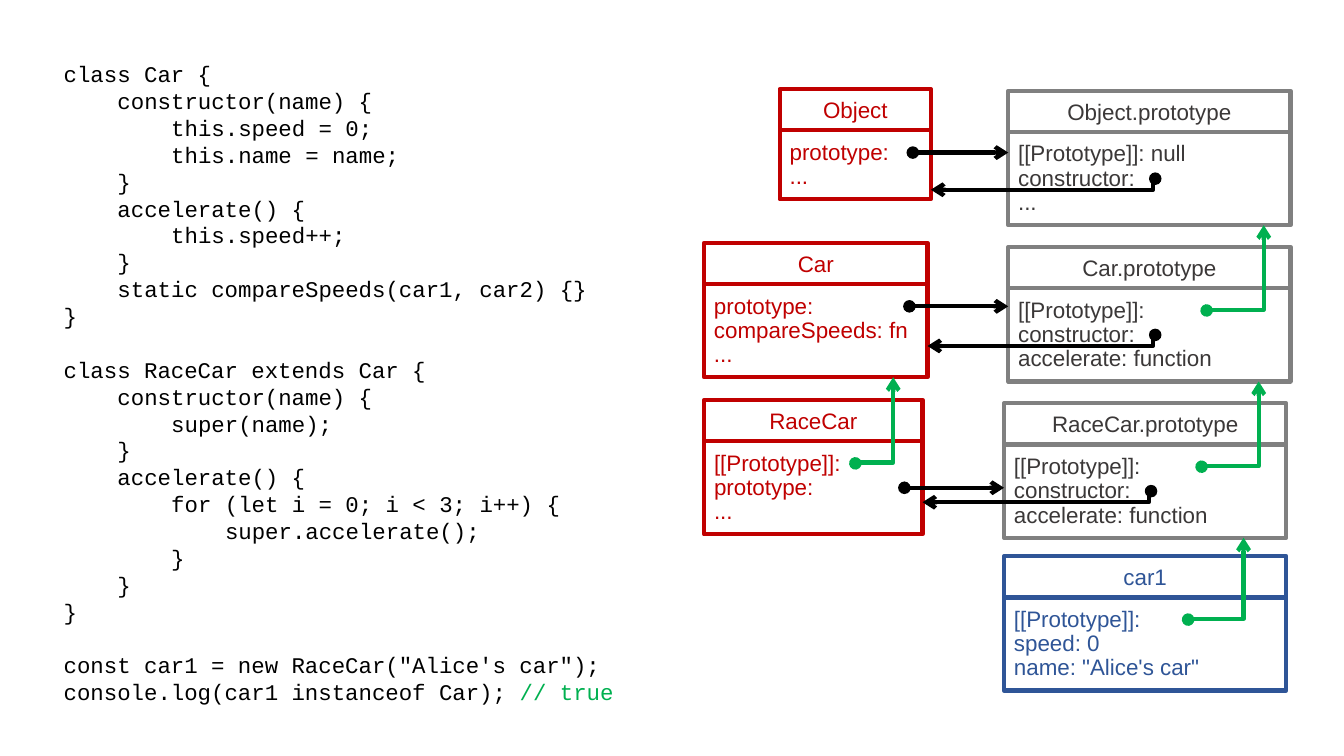
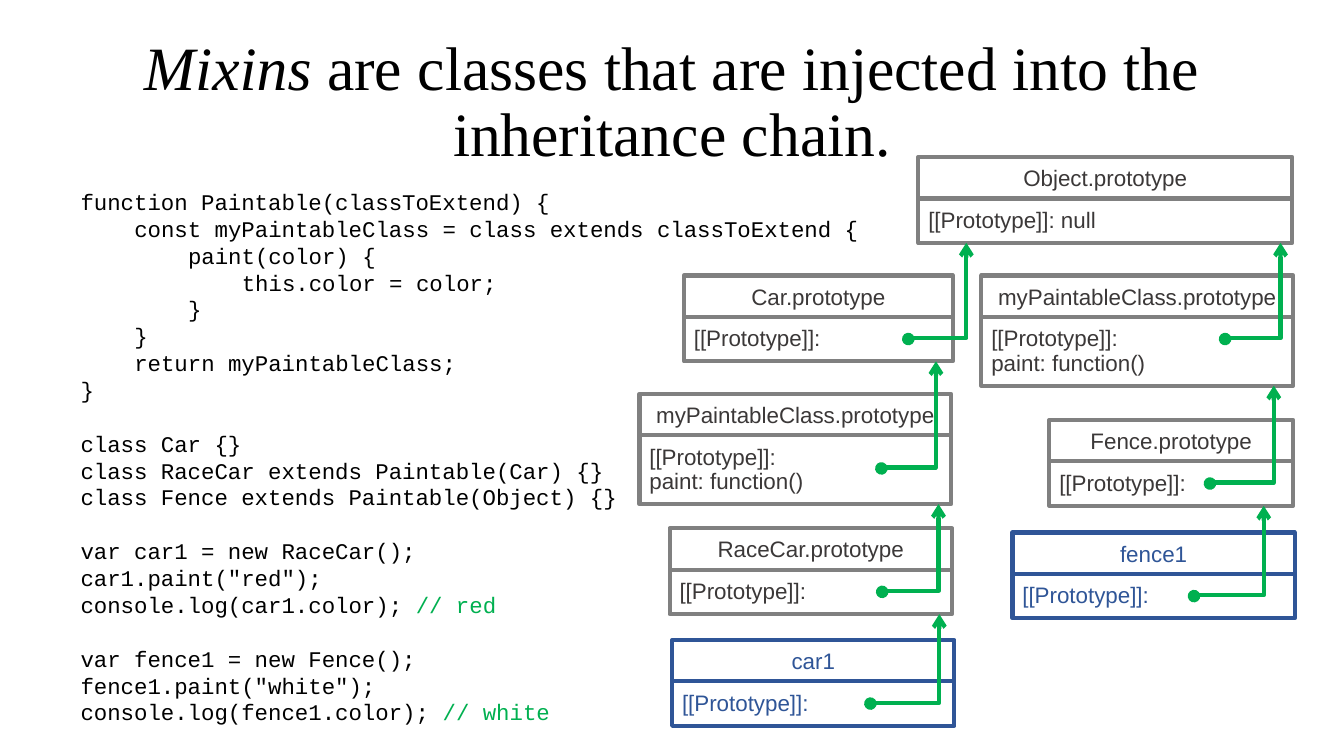
from lxml import etree
from pptx import Presentation
from pptx.dml.color import RGBColor
from pptx.enum.shapes import MSO_CONNECTOR, MSO_SHAPE
from pptx.enum.text import MSO_ANCHOR, MSO_AUTO_SIZE, PP_ALIGN
from pptx.oxml.ns import qn
from pptx.util import Inches, Pt

STRAIGHT, ELBOW = MSO_CONNECTOR.STRAIGHT, MSO_CONNECTOR.ELBOW
RECTANGLE = MSO_SHAPE.RECTANGLE
MIDDLE, TOP = MSO_ANCHOR.MIDDLE, MSO_ANCHOR.TOP
CENTER, LEFT = PP_ALIGN.CENTER, PP_ALIGN.LEFT
NO_FIT, GROW = MSO_AUTO_SIZE.NONE, MSO_AUTO_SIZE.SHAPE_TO_FIT_TEXT

BLACK = RGBColor(0x00, 0x00, 0x00)
GRAY = RGBColor(0x80, 0x80, 0x80)
CHARCOAL = RGBColor(0x3B, 0x38, 0x38)
RED = RGBColor(0xC0, 0x00, 0x00)
BLUE = RGBColor(0x2F, 0x55, 0x97)
GREEN = RGBColor(0x00, 0xB0, 0x50)

# Card styles: (outline, text)
PROTOTYPE = (GRAY, CHARCOAL)
CONSTRUCTOR = (RED, RED)
INSTANCE = (BLUE, BLUE)

CODE_FONT, CARD_FONT, TITLE_FONT = "Courier New", "Arial", "Times New Roman"
TEXT_SIZE, TITLE_SIZE = 16, 44
TAB = 4
TAB_WIDTH = Pt(TAB * TEXT_SIZE * 0.6)
CODE_LINE = Pt(19.2)
STROKE = Pt(3)

# The slide is a grid of 160 columns by 90 rows of square cells.
SLIDE_WIDTH, SLIDE_HEIGHT = Inches(13.33), Inches(7.5)
CELL = SLIDE_HEIGHT / 90

HEADER_HEIGHT = Inches(0.41)
HEADER_INSET = Inches(0.07)
BODY_INSET = Inches(0.1)
BODY_LINE = Pt(17.4)
REFERENCE_INSET = Inches(0.18)
CONSTRUCTOR_DIP = Inches(0.11)

CAR_CODE = """\
class Car {
    constructor(name) {
        this.speed = 0;
        this.name = name;
    }
    accelerate() {
        this.speed++;
    }
    static compareSpeeds(car1, car2) {}
}

class RaceCar extends Car {
    constructor(name) {
        super(name);
    }
    accelerate() {
        for (let i = 0; i < 3; i++) {
            super.accelerate();
        }
    }
}

const car1 = new RaceCar("Alice's car");
console.log(car1 instanceof Car); // true"""

MIXIN_CODE = """\
function Paintable(classToExtend) {
    const myPaintableClass = class extends classToExtend {
        paint(color) {
            this.color = color;
        }
    }
    return myPaintableClass;
}

class Car {}
class RaceCar extends Paintable(Car) {}
class Fence extends Paintable(Object) {}

var car1 = new RaceCar();
car1.paint("red");
console.log(car1.color); // red

var fence1 = new Fence();
fence1.paint("white");
console.log(fence1.color); // white"""


def cells(*counts):
    return [round(count * CELL) for count in counts]


def add_text(paragraph, text, font=CARD_FONT, size=TEXT_SIZE, color=BLACK, italic=False):
    run = paragraph.add_run()
    run.text = text
    run.font.name = font
    run.font.size = Pt(size)
    run.font.color.rgb = color
    run.font.italic = italic


def next_paragraph(frame):
    """Return the still empty first paragraph, or a new one."""
    first = frame.paragraphs[0]
    return frame.add_paragraph() if first.runs else first


def add_title(slide, emphasis, rest):
    title = slide.shapes.title
    title.left, title.top, title.width, title.height = cells(11, 3.6, 138, 17.4)
    frame = title.text_frame
    frame.auto_size = NO_FIT
    frame.vertical_anchor = MIDDLE
    paragraph = frame.paragraphs[0]
    paragraph.alignment = CENTER
    paragraph.line_spacing = 0.9
    add_text(paragraph, emphasis, font=TITLE_FONT, size=TITLE_SIZE, italic=True)
    add_text(paragraph, rest, font=TITLE_FONT, size=TITLE_SIZE)


def add_code(slide, code, *area):
    """Write code with indents by level, gaps between blocks and green comments."""
    frame = slide.shapes.add_textbox(*cells(*area)).text_frame
    frame.word_wrap = True
    gap = 0
    for line in code.splitlines():
        statement = line.lstrip()
        if not statement:
            gap = CODE_LINE
            continue
        paragraph = next_paragraph(frame)
        paragraph.space_before = gap
        gap = 0
        level = (len(line) - len(statement)) // TAB
        paragraph._p.get_or_add_pPr().set("marL", str(level * TAB_WIDTH))
        command, slashes, remark = statement.partition("//")
        add_text(paragraph, command, font=CODE_FONT)
        if slashes:
            add_text(paragraph, slashes + remark, font=CODE_FONT, color=GREEN)


def add_panel(card, bounds, lines, style, inset, anchor, alignment, spacing=None):
    panel = card.shapes.add_shape(RECTANGLE, *bounds)
    outline, ink = style
    panel.shadow.inherit = False
    panel.fill.background()
    panel.line.color.rgb = outline
    panel.line.width = STROKE
    frame = panel.text_frame
    frame.word_wrap = True
    frame.auto_size = GROW
    frame.vertical_anchor = anchor
    frame.margin_left = frame.margin_right = BODY_INSET
    frame.margin_top = frame.margin_bottom = inset
    for line in lines:
        paragraph = next_paragraph(frame)
        paragraph.alignment = alignment
        paragraph.line_spacing = spacing
        add_text(paragraph, line, color=ink)


def add_card(slide, name, members, style, left, top, width):
    """Group a name panel with the panel of members below it."""
    card = slide.shapes.add_group_shape()
    left, top, width = cells(left, top, width)
    body_height = 2 * BODY_INSET + len(members) * BODY_LINE
    add_panel(card, (left, top, width, HEADER_HEIGHT), [name], style,
              HEADER_INSET, MIDDLE, CENTER)
    add_panel(card, (left, top + HEADER_HEIGHT, width, body_height), members, style,
              BODY_INSET, TOP, LEFT, BODY_LINE)
    return card


def member_y(card, line):
    """Return the middle height of a member line, counted from 0."""
    return round(card.top + HEADER_HEIGHT + BODY_INSET + (line + 0.5) * BODY_LINE)


def add_arrow(slide, kind, start, end, color):
    arrow = slide.shapes.add_connector(kind, *start, *end)
    arrow.line.color.rgb = color
    arrow.line.width = STROKE
    properties = arrow.element.spPr
    stroke = properties.find(qn("a:ln"))
    etree.SubElement(stroke, qn("a:headEnd"), type="oval")
    etree.SubElement(stroke, qn("a:tailEnd"), type="arrow")
    etree.SubElement(properties, qn("a:effectLst"))
    if kind == ELBOW:
        bends = properties.find(qn("a:prstGeom")).find(qn("a:avLst"))
        etree.SubElement(bends, qn("a:gd"), name="adj1", fmla="val 1000")
    return arrow


def link_parent(slide, child, parent, start_column, end_column, line=0):
    """Lead from a child's [[Prototype]] sideways, then up to the parent's bottom."""
    start_x, end_x = cells(start_column, end_column)
    start_y, end_y = member_y(child, line), parent.top + parent.height
    # A quarter turn swaps width and height around the shared centre.
    center_x, center_y = (start_x + end_x) // 2, (start_y + end_y) // 2
    half_rise, half_run = (start_y - end_y) // 2, (end_x - start_x) // 2
    arrow = add_arrow(slide, ELBOW, (center_x + half_rise, center_y + half_run),
                      (center_x - half_rise, center_y - half_run), GREEN)
    arrow.element.spPr.find(qn("a:xfrm")).set("rot", str(90 * 60000))


def link_pair(slide, owner, prototype, line):
    """Join a constructor and its prototype in both directions."""
    owner_right = owner.left + owner.width
    y = member_y(owner, line)
    add_arrow(slide, STRAIGHT, (owner_right - REFERENCE_INSET, y),
              (prototype.left, y), BLACK)
    y = member_y(prototype, 1)
    start_x = prototype.left + cells(17.5)[0]
    add_arrow(slide, ELBOW, (start_x, y), (owner_right, y + CONSTRUCTOR_DIP), BLACK)


def build_class_slide(slide):
    add_code(slide, CAR_CODE, 6.4, 6.6, 86.3, 79.3)
    object_proto = add_card(slide, "Object.prototype",
                            ["[[Prototype]]: null", "constructor:", "..."],
                            PROTOTYPE, 120, 10.8, 33.6)
    car_proto, race_proto = [
        add_card(slide, name, ["[[Prototype]]:", "constructor:", "accelerate: function"],
                 PROTOTYPE, left, top, 33.6)
        for name, left, top in (("Car.prototype", 120, 29.4),
                                ("RaceCar.prototype", 119.5, 48))]
    car1 = add_card(slide, "car1", ["[[Prototype]]:", "speed: 0", "name: \"Alice's car\""],
                    INSTANCE, 119.5, 66.2, 33.6)
    object_class = add_card(slide, "Object", ["prototype:", "..."],
                            CONSTRUCTOR, 92.8, 10.6, 18)
    car = add_card(slide, "Car", ["prototype:", "compareSpeeds: fn", "..."],
                   CONSTRUCTOR, 83.8, 28.9, 26.6)
    race_car = add_card(slide, "RaceCar", ["[[Prototype]]:", "prototype:", "..."],
                        CONSTRUCTOR, 83.8, 47.6, 26)

    link_pair(slide, object_class, object_proto, 0)
    link_pair(slide, car, car_proto, 0)
    link_pair(slide, race_car, race_proto, 1)
    link_parent(slide, car_proto, object_proto, 143.6, 150.4)
    link_parent(slide, race_proto, car_proto, 143, 149.8)
    link_parent(slide, car1, race_proto, 141.4, 148)
    link_parent(slide, race_car, car, 101.8, 106.3)


def build_mixin_slide(slide):
    add_title(slide, "Mixins ", "are classes that are injected into the inheritance chain.")
    add_code(slide, MIXIN_CODE, 8.4, 21.8, 95.6, 64.4)
    object_proto = add_card(slide, "Object.prototype", ["[[Prototype]]: null"],
                            PROTOTYPE, 109.3, 18.7, 44.5)
    car, race_car, car1, fence, fence1 = [
        add_card(slide, name, ["[[Prototype]]:"], style, left, top, width)
        for name, style, left, top, width in (
            ("Car.prototype", PROTOTYPE, 81.4, 32.8, 32),
            ("RaceCar.prototype", PROTOTYPE, 79.7, 62.9, 33.6),
            ("car1", INSTANCE, 80, 76.2, 33.6),
            ("Fence.prototype", PROTOTYPE, 124.9, 50, 29),
            ("fence1", INSTANCE, 120.5, 63.4, 33.6))]
    car_mixin, fence_mixin = [
        add_card(slide, "myPaintableClass.prototype",
                 ["[[Prototype]]:", "paint: function()"], PROTOTYPE, left, top, 37.1)
        for left, top in ((76.1, 46.9), (116.8, 32.8))]

    link_parent(slide, car, object_proto, 108.1, 115)
    link_parent(slide, car_mixin, car, 104.9, 111.4, line=0.45)
    link_parent(slide, race_car, car_mixin, 105, 111.7)
    link_parent(slide, car1, race_car, 103.6, 111.8)
    link_parent(slide, fence_mixin, object_proto, 145.8, 152.4)
    link_parent(slide, fence, fence_mixin, 144, 151.6)
    link_parent(slide, fence1, fence, 142.1, 150.4)


def main():
    deck = Presentation()
    deck.slide_width, deck.slide_height = SLIDE_WIDTH, SLIDE_HEIGHT
    title_only = deck.slide_layouts.get_by_name("Title Only")
    blank = deck.slide_layouts.get_by_name("Blank")
    build_class_slide(deck.slides.add_slide(blank))
    build_mixin_slide(deck.slides.add_slide(title_only))
    deck.save("out.pptx")


if __name__ == "__main__":
    main()
